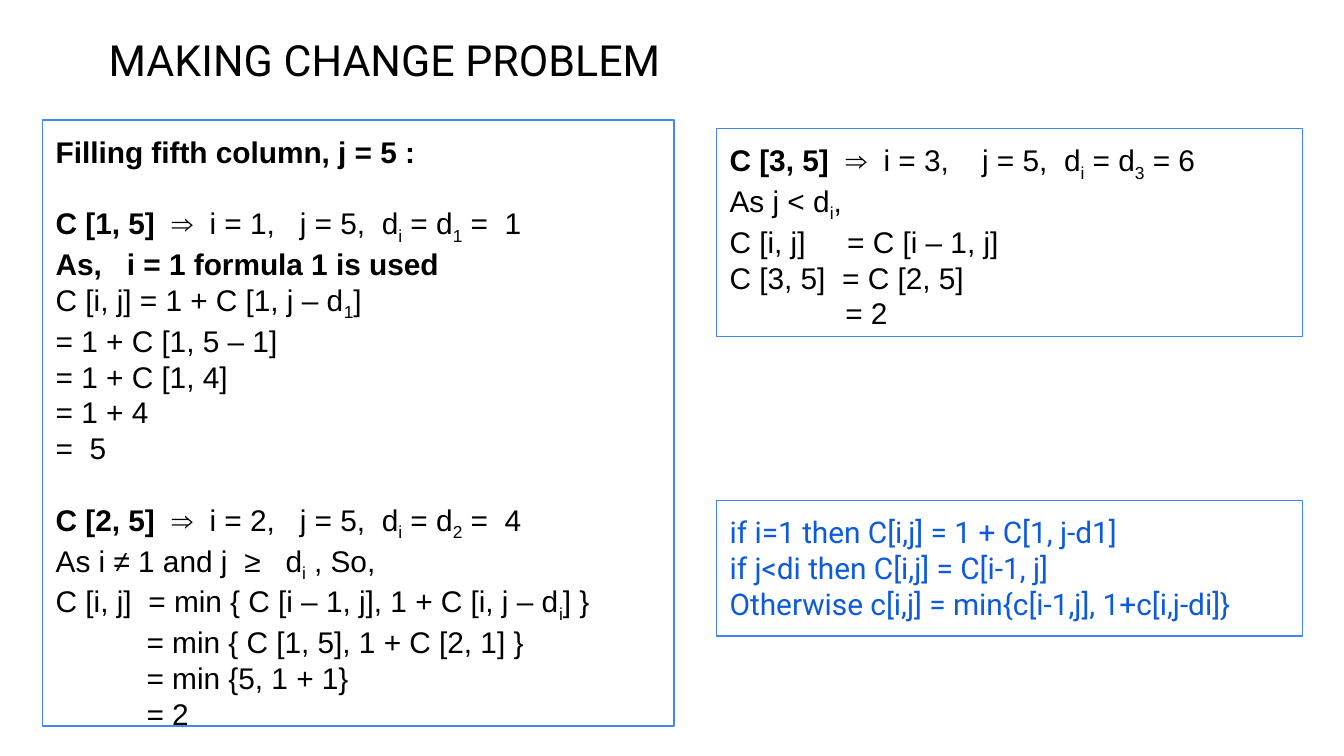
from dataclasses import dataclass

import pptx
import pptx.dml.color
import pptx.enum.shapes
import pptx.enum.text
import pptx.util

Pt = pptx.util.Pt
RGBColor = pptx.dml.color.RGBColor
Align = pptx.enum.text.PP_ALIGN


@dataclass(frozen=True)
class Theme:
    text: RGBColor = RGBColor(0, 0, 0)
    rule_text: RGBColor = RGBColor(0x0D, 0x5B, 0xDC)
    border: RGBColor = RGBColor(0x42, 0x85, 0xF4)
    heading_font: str = "Roboto"
    body_font: str = "Arial"
    title_size: float = 23
    body_size: float = 16
    space_width: float = 4.45
    section_gap: float = 19.2
    inset: float = 7.2


THEME = Theme()


@dataclass(frozen=True)
class Line:
    """One paragraph: *bold*, _x for a subscript x, | for a wide gap.

    gaps gives the width of each wide gap in spaces, indent is in points.
    """
    text: str
    gaps: tuple = ()
    indent: float = 0
    new_section: bool = False


FIRST_CELLS = [
    Line("*Filling fifth column, j = 5 :*"),
    Line("*C [1, 5]*|⇒|i = 1,|j = 5,|d_i = d_1 =|1", (2, 2, 3, 2, 2), new_section=True),
    Line("*As,|i = 1 formula 1 is used*", (3,)),
    Line("C [i, j] = 1 + C [1, j – d_1]"),
    Line("= 1 + C [1, 5 – 1]"),
    Line("= 1 + C [1, 4]"),
    Line("= 1 + 4"),
    Line("=|5", (2,)),
    Line("*C [2, 5]*|⇒|i = 2,|j = 5,|d_i = d_2 =|4", (2, 2, 3, 2, 2), new_section=True),
    Line("As i ≠ 1 and j|≥|d_i , So,", (2, 3)),
    Line("C [i, j]|= min { C [i – 1, j], 1 + C [i, j – d_i] }", (2,)),
    Line("= min { C [1, 5], 1 + C [2, 1] }", indent=48.7),
    Line("= min {5, 1 + 1}", indent=48.7),
    Line("= 2", indent=48.7),
]

THIRD_CELL = [
    Line("*C [3, 5]*|⇒|i = 3,|j = 5,|d_i = d_3 = 6", (2, 2, 4, 2)),
    Line("As j < d_i,"),
    Line("C [i, j]|= C [i – 1, j]", (5,)),
    Line("C [3, 5]|= C [2, 5]", (2,)),
    Line("= 2", indent=62),
]

RULES = [
    Line("if i=1 then C[i,j] = 1 + C[1, j-d1]"),
    Line("if j<di then C[i,j] = C[i-1, j]"),
    Line("Otherwise c[i,j] = min{c[i-1,j], 1+c[i,j-di]}"),
]


def prepare_frame(text_frame):
    text_frame.word_wrap = True
    text_frame.auto_size = pptx.enum.text.MSO_AUTO_SIZE.NONE
    text_frame.vertical_anchor = pptx.enum.text.MSO_ANCHOR.TOP
    text_frame.margin_left = text_frame.margin_right = Pt(THEME.inset)
    text_frame.margin_top = text_frame.margin_bottom = Pt(THEME.inset)


def format_run(run, font, size, color, bold=False):
    run.font.name = font
    run.font.size = Pt(size)
    run.font.color.rgb = color
    run.font.bold = bold


def set_layout(paragraph, line):
    properties = paragraph._p.get_or_add_pPr()
    properties.set("marL", str(Pt(line.indent)))
    properties.set("indent", "0")
    if line.new_section:
        paragraph.space_before = Pt(THEME.section_gap)


def split_marks(text):
    """Yield each piece of a marked-up text with its kind and boldness."""
    kinds = {"_": "subscript", "|": "gap"}
    piece, bold, kind = "", False, "plain"
    for character in text:
        if kind == "subscript":
            yield character, kind, bold
            kind = "plain"
        elif character in "*_|":
            if piece:
                yield piece, "plain", bold
            piece = ""
            if character == "*":
                bold = not bold
            elif character == "|":
                yield " ", kinds[character], bold
            else:
                kind = kinds[character]
        else:
            piece += character
    if piece:
        yield piece, "plain", bold


def add_runs(paragraph, line, font, color):
    gaps = iter(line.gaps)
    for piece, kind, bold in split_marks(line.text):
        run = paragraph.add_run()
        run.text = piece
        format_run(run, font, THEME.body_size, color, bold)
        if kind == "subscript":
            run.font._element.set("baseline", "-25000")
        elif kind == "gap":
            extra = (next(gaps) - 1) * THEME.space_width
            run.font._element.set("spc", str(round(extra * 100)))


def add_title(slide, text, left, top, width, height):
    title = slide.shapes.title
    title.left, title.top, title.width, title.height = map(Pt, (left, top, width, height))
    prepare_frame(title.text_frame)
    title.text_frame.text = text
    paragraph = title.text_frame.paragraphs[0]
    paragraph.alignment = Align.JUSTIFY
    format_run(paragraph.runs[0], THEME.heading_font, THEME.title_size, THEME.text)


def add_panel(slide, lines, left, top, width, height,
              font=THEME.body_font, color=THEME.text, alignment=Align.LEFT):
    panel = slide.shapes.add_shape(
        pptx.enum.shapes.MSO_SHAPE.RECTANGLE, *map(Pt, (left, top, width, height)))
    panel.shadow.inherit = False
    panel.fill.background()
    panel.line.color.rgb = THEME.border
    panel.line.width = Pt(0.75)
    text_frame = panel.text_frame
    prepare_frame(text_frame)
    for index, line in enumerate(lines):
        paragraph = text_frame.add_paragraph() if index else text_frame.paragraphs[0]
        paragraph.alignment = alignment
        set_layout(paragraph, line)
        add_runs(paragraph, line, font, color)


def main():
    presentation = pptx.Presentation()
    presentation.slide_width = Pt(720)
    presentation.slide_height = Pt(405)
    slide = presentation.slides.add_slide(presentation.slide_layouts[5])

    add_title(slide, "MAKING CHANGE PROBLEM", 51, 10.8, 515.5, 44)
    add_panel(slide, FIRST_CELLS, 22.8, 64.3, 338.4, 324.7)
    right_left, right_width = 383.8, 313.9
    add_panel(slide, THIRD_CELL, right_left, 68.8, right_width, 111.6)
    add_panel(slide, RULES, right_left, 268, right_width, 72.7,
              THEME.heading_font, THEME.rule_text, Align.JUSTIFY)

    presentation.save("out.pptx")


if __name__ == "__main__":
    main()
